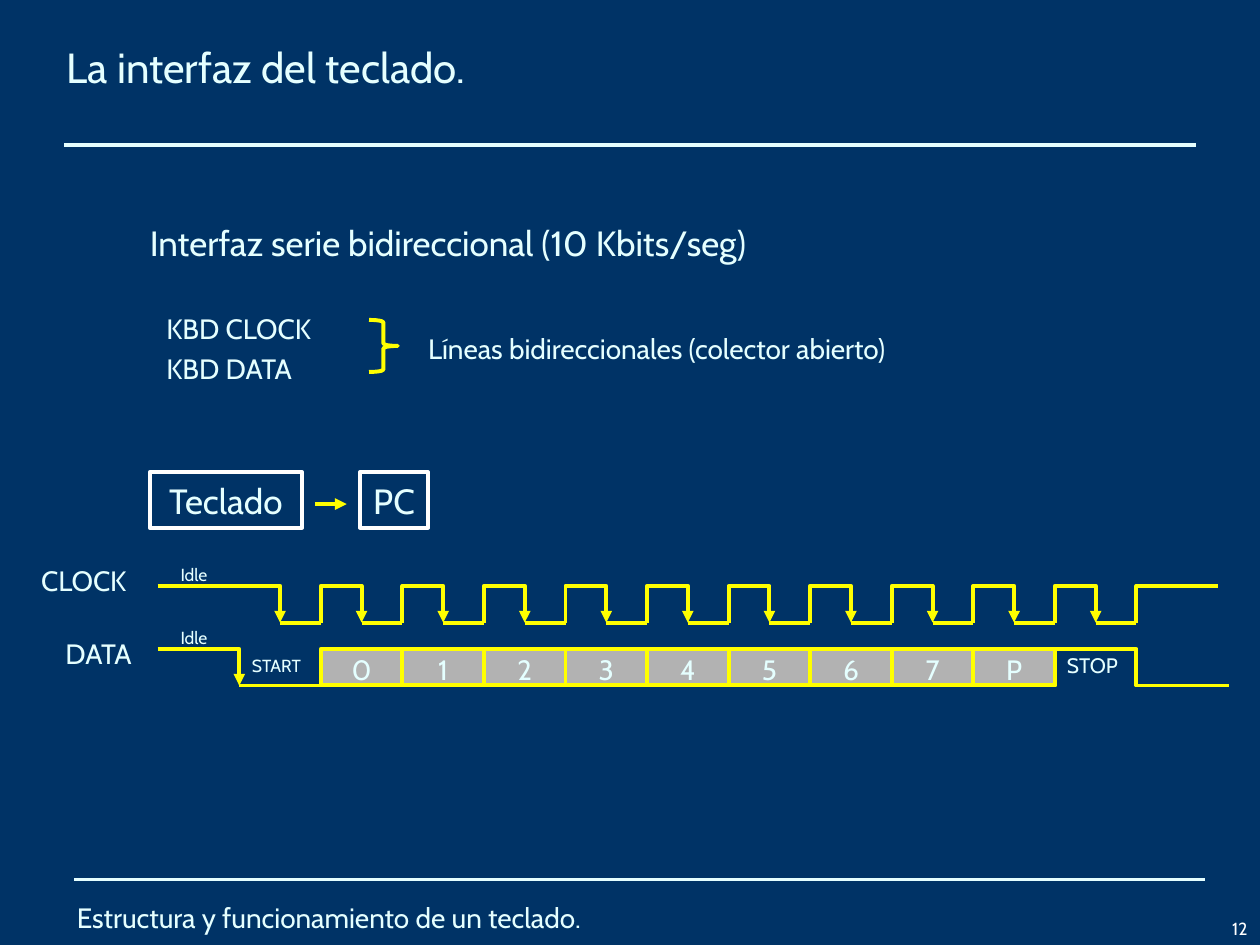
from pptx import Presentation
from pptx.dml.color import RGBColor
from pptx.enum.shapes import MSO_CONNECTOR, MSO_SHAPE
from pptx.enum.text import MSO_ANCHOR, MSO_AUTO_SIZE, PP_ALIGN
from pptx.oxml.ns import qn
from pptx.util import Cm, Pt
from lxml import etree

LEFT, CENTER, RIGHT = PP_ALIGN.LEFT, PP_ALIGN.CENTER, PP_ALIGN.RIGHT
TOP, MIDDLE, BOTTOM = MSO_ANCHOR.TOP, MSO_ANCHOR.MIDDLE, MSO_ANCHOR.BOTTOM
FIT, NO_FIT = MSO_AUTO_SIZE.SHAPE_TO_FIT_TEXT, MSO_AUTO_SIZE.NONE
RECT, BRACE = MSO_SHAPE.RECTANGLE, MSO_SHAPE.RIGHT_BRACE
STRAIGHT = MSO_CONNECTOR.STRAIGHT

NAVY, PALE, WHITE, YELLOW, GRAY = "003366", "E5FFFF", "FFFFFF", "FFFF00", "B2B2B2"

WAVE_LEFT = 3.18
BIT = (22.91 - WAVE_LEFT) / 12
CLOCK_HIGH, CLOCK_LOW = 11.81, 12.55
DATA_HIGH, DATA_LOW = 13.08, 13.82
BITS = "01234567P"


def rgb(value):
    return RGBColor.from_string(value)


def bit_x(n):
    return WAVE_LEFT + n * BIT


class SlideBuilder:
    font = "Cabin"
    line_width = Pt(2.25)

    def __init__(self, slide):
        self.s = slide
        fill = slide.background.fill
        fill.solid()
        fill.fore_color.rgb = rgb(NAVY)

    def set_text(self, sp, text, size, color=PALE, align=LEFT, anchor=MIDDLE, wrap=False):
        tf = sp.text_frame
        tf.text = text
        tf.word_wrap = wrap
        tf.vertical_anchor = anchor
        for i, p in enumerate(tf.paragraphs):
            p.alignment = align
            p.space_before = Pt(4 if i else 0)
            for r in p.runs:
                r.font.name = self.font
                r.font.size = Pt(size)
                r.font.color.rgb = rgb(color)

    def placeholder(self, idx, x, y, w, h, text, size, **style):
        sp = self.s.placeholders[idx]
        sp.left, sp.top, sp.width, sp.height = Cm(x), Cm(y), Cm(w), Cm(h)
        self.set_text(sp, text, size, **style)
        sp.text_frame.auto_size = NO_FIT
        return sp

    def bare_list(self, *args, **style):
        sp = self.placeholder(*args, **style)
        for p in sp.text_frame.paragraphs:
            ppr = p._p.get_or_add_pPr()
            ppr.set("marL", "0")
            ppr.set("indent", "0")
            etree.SubElement(ppr, qn("a:buNone"))

    def label(self, x, y, w, h, text, size, **style):
        sp = self.s.shapes.add_textbox(Cm(x), Cm(y), Cm(w), Cm(h))
        self.set_text(sp, text, size, **style)
        sp.text_frame.auto_size = NO_FIT if style.get("wrap") else FIT

    def outline(self, sp, color, arrow=False):
        sp.line.color.rgb = rgb(color)
        sp.line.width = self.line_width
        if arrow:
            ln = sp._element.spPr.find(qn("a:ln"))
            etree.SubElement(ln, qn("a:tailEnd"), type="triangle")

    def shape(self, kind, x, y, w, h, color, fill=None):
        sp = self.s.shapes.add_shape(kind, Cm(x), Cm(y), Cm(w), Cm(h))
        sp.shadow.inherit = False
        if fill:
            sp.fill.solid()
            sp.fill.fore_color.rgb = rgb(fill)
        else:
            sp.fill.background()
        self.outline(sp, color)
        return sp

    def box(self, x, y, w, h, text, size, color, fill=None, drop=0.0):
        sp = self.shape(RECT, x, y, w, h, color, fill)
        self.set_text(sp, text, size, align=CENTER)
        tf = sp.text_frame
        tf.margin_top, tf.margin_bottom = Cm(drop), Cm(0)

    def line(self, x1, y1, x2, y2, color=YELLOW, arrow=False):
        c = self.s.shapes.add_connector(STRAIGHT, Cm(x1), Cm(y1), Cm(x2), Cm(y2))
        self.outline(c, color, arrow)
        etree.SubElement(c._element.spPr, qn("a:effectLst"))

    def wave(self, points, arrow=False):
        (x, y), *rest = [(Cm(px), Cm(py)) for px, py in points]
        fb = self.s.shapes.build_freeform(x, y)
        fb.add_line_segments(rest, close=False)
        sp = fb.convert_to_shape()
        sp.shadow.inherit = False
        sp.fill.background()
        self.outline(sp, YELLOW, arrow)


def draw_clock(b):
    b.wave([(WAVE_LEFT, CLOCK_HIGH), (bit_x(1.5), CLOCK_HIGH), (bit_x(1.5), CLOCK_LOW)], arrow=True)
    for n in range(2, 12):
        rise, fall = bit_x(n), bit_x(n + 0.5)
        b.wave([(rise, CLOCK_LOW), (rise, CLOCK_HIGH), (fall, CLOCK_HIGH), (fall, CLOCK_LOW)], arrow=True)
    for n in range(1, 12):
        b.line(bit_x(n + 0.5), CLOCK_LOW, bit_x(n + 1), CLOCK_LOW)
    b.wave([(bit_x(12), CLOCK_LOW), (bit_x(12), CLOCK_HIGH), (bit_x(13), CLOCK_HIGH)])


def draw_data(b):
    for n, bit in enumerate(BITS, 2):
        b.box(bit_x(n), DATA_HIGH, BIT, DATA_LOW - DATA_HIGH, bit, 16, YELLOW, GRAY, drop=0.1)
    b.wave([(WAVE_LEFT, DATA_HIGH), (bit_x(1), DATA_HIGH), (bit_x(1), DATA_LOW)], arrow=True)
    b.wave([(bit_x(1), DATA_LOW), (bit_x(11), DATA_LOW), (bit_x(11), DATA_HIGH),
            (bit_x(12), DATA_HIGH), (bit_x(12), DATA_LOW), (24.77, DATA_LOW)])


def main():
    prs = Presentation()
    prs.slide_width, prs.slide_height = Cm(25.4), Cm(19.05)
    b = SlideBuilder(prs.slides.add_slide(prs.slide_layouts[1]))

    b.placeholder(0, 1.09, 0.71, 18.62, 1.27, "La interfaz del teclado.", 24, anchor=TOP, wrap=True)
    b.line(1.3, 2.92, 24.1, 2.92, PALE)
    b.line(1.5, 17.73, 24.3, 17.73, PALE)

    b.label(2.77, 4.32, 14, 1.12, "Interfaz serie bidireccional (10 Kbits/seg)", 20)
    b.bare_list(1, 3.1, 6.15, 3.58, 1.75, "KBD CLOCK\nKBD DATA", 16)
    b.shape(BRACE, 7.44, 6.45, 0.58, 1.05, YELLOW)
    b.label(8.38, 6.55, 11.1, 0.94, "Líneas bidireccionales (colector abierto)", 16)

    b.box(3.02, 9.52, 3.07, 1.12, "Teclado", 20, WHITE)
    b.line(6.35, 10.16, 6.99, 10.16, arrow=True)
    b.box(7.26, 9.52, 1.37, 1.12, "PC", 20, WHITE)

    draw_clock(b)
    draw_data(b)
    b.label(0.58, 11.23, 2.29, 0.94, "CLOCK", 16)
    b.label(1.07, 12.7, 1.96, 0.94, "DATA", 16)
    for y in (11.23, 12.5):
        b.label(3.35, y, 1.12, 0.69, "Idle", 10, align=CENTER)
    b.label(4.83, 13.08, 1.52, 0.69, "START", 10)
    b.label(21.26, 13.03, 1.55, 0.76, "STOP", 12)

    b.label(1.3, 17.93, 22.86, 1.12, "Estructura y funcionamiento de un teclado.", 16, wrap=True)
    b.label(23.98, 18.11, 1.42, 0.94, "12", 10, color=WHITE, align=RIGHT, anchor=BOTTOM, wrap=True)
    prs.save("out.pptx")


if __name__ == "__main__":
    main()
